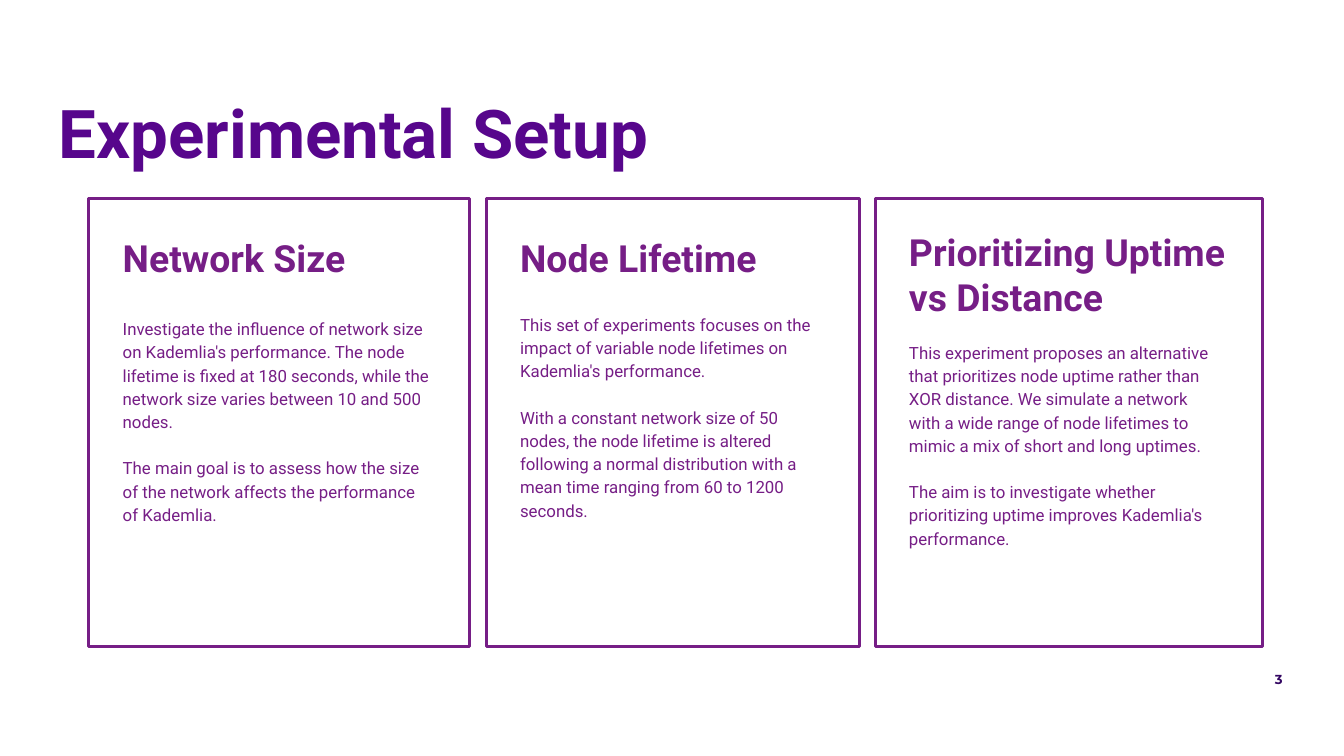
import pptx
import pptx.dml.color
import pptx.enum.shapes
import pptx.enum.text
import pptx.util
from pptx.util import Cm

PURPLE = "761E86"
CARD_TOP, CARD_HEIGHT = 3.76, 8.46
TEXT_INSET = 0.39
BODY_BOTTOM_GAP = 0.52

CARDS = [
    {
        "left": 1.68, "width": 7.19, "body_width": 6.38,
        "heading_offset": 0.43, "body_offset": 1.96,
        "heading": "Network Size",
        "body": [
            "Investigate the influence of network size on Kademlia's performance. "
            "The node lifetime is fixed at 180 seconds, while the network size "
            "varies between 10 and 500 nodes.",
            "The main goal is to assess how the size of the network affects the "
            "performance of Kademlia.",
        ],
    },
    {
        "left": 9.19, "width": 7.06, "body_width": 6.25,
        "heading_offset": 0.43, "body_offset": 1.88,
        "heading": "Node Lifetime",
        "body": [
            "This set of experiments focuses on the impact of variable node "
            "lifetimes on Kademlia's performance.",
            "With a constant network size of 50 nodes, the node lifetime is altered "
            "following a normal distribution with a mean time ranging from 60 to "
            "1200 seconds.",
        ],
    },
    {
        "left": 16.54, "width": 7.32, "body_width": 6.27,
        "heading_offset": 0.33, "body_offset": 2.41,
        "heading": "Prioritizing Uptime vs Distance",
        "body": [
            "This experiment proposes an alternative that prioritizes node uptime "
            "rather than XOR distance. We simulate a network with a wide range of "
            "node lifetimes to mimic a mix of short and long uptimes.",
            "The aim is to investigate whether prioritizing uptime improves "
            "Kademlia's performance.",
        ],
    },
]


def color(hex_string):
    """Return the RGB colour for a hex string."""
    return pptx.dml.color.RGBColor.from_string(hex_string)


def add_text(shapes, box, lines, size, hex_string, bold=False, font="Roboto"):
    """Add a wrapped text box with one paragraph per line and return its paragraphs."""
    text_frame = shapes.add_textbox(*map(Cm, box)).text_frame
    text_frame.word_wrap = True
    text_frame.margin_left = text_frame.margin_right = Cm(0.25)
    text_frame.margin_top = text_frame.margin_bottom = Cm(0.25)
    text_frame.text = "\n".join(lines)
    for paragraph in text_frame.paragraphs:
        for run in paragraph.runs:
            run.font.name = font
            run.font.size = pptx.util.Pt(size)
            run.font.bold = bold
            run.font.color.rgb = color(hex_string)
    return text_frame.paragraphs


def add_title(slide, box):
    """Add the slide title."""
    add_text(slide.shapes, box, ["Experimental Setup"], 36, "57068C", bold=True)


def add_card(slide, box, card):
    """Add one framed experiment card as a group."""
    left, top, width, height = box
    shapes = slide.shapes.add_group_shape().shapes
    frame = shapes.add_shape(
        pptx.enum.shapes.MSO_SHAPE.RECTANGLE, *map(Cm, box))
    frame.shadow.inherit = False
    frame.fill.solid()
    frame.fill.fore_color.rgb = color("FFFFFF")
    frame.line.color.rgb = color(PURPLE)
    frame.line.width = pptx.util.Pt(1.5)

    text_left = left + TEXT_INSET
    body_offset = card["body_offset"]
    heading_offset = card["heading_offset"]
    body_box = (text_left, top + body_offset, card["body_width"],
                height - body_offset - BODY_BOTTOM_GAP)
    paragraphs = add_text(shapes, body_box, card["body"], 9, PURPLE)
    for paragraph in paragraphs:
        paragraph.line_spacing = 1.15
    for paragraph in paragraphs[:-1]:
        paragraph.space_after = pptx.util.Pt(12.4)

    heading_box = (text_left, top + heading_offset, width - 2 * TEXT_INSET,
                   body_offset - heading_offset)
    add_text(shapes, heading_box, [card["heading"]], 20, PURPLE, bold=True)


def add_page_number(slide, box):
    """Add the right-aligned page number."""
    paragraphs = add_text(slide.shapes, box, ["3"], 7, "330662",
                          bold=True, font="Montserrat")
    paragraphs[0].alignment = pptx.enum.text.PP_ALIGN.RIGHT


def main():
    """Build the slide and save the presentation."""
    presentation = pptx.Presentation()
    presentation.slide_width = Cm(25.4)
    presentation.slide_height = Cm(14.29)
    slide = presentation.slides.add_slide(presentation.slide_layouts[6])
    add_title(slide, (0.86, 1.47, 23.39, 1.6))
    for card in CARDS:
        add_card(slide, (card["left"], CARD_TOP, card["width"], CARD_HEIGHT), card)
    add_page_number(slide, (12.83, 12.55, 11.66, 0.86))
    presentation.save("out.pptx")


if __name__ == "__main__":
    main()
